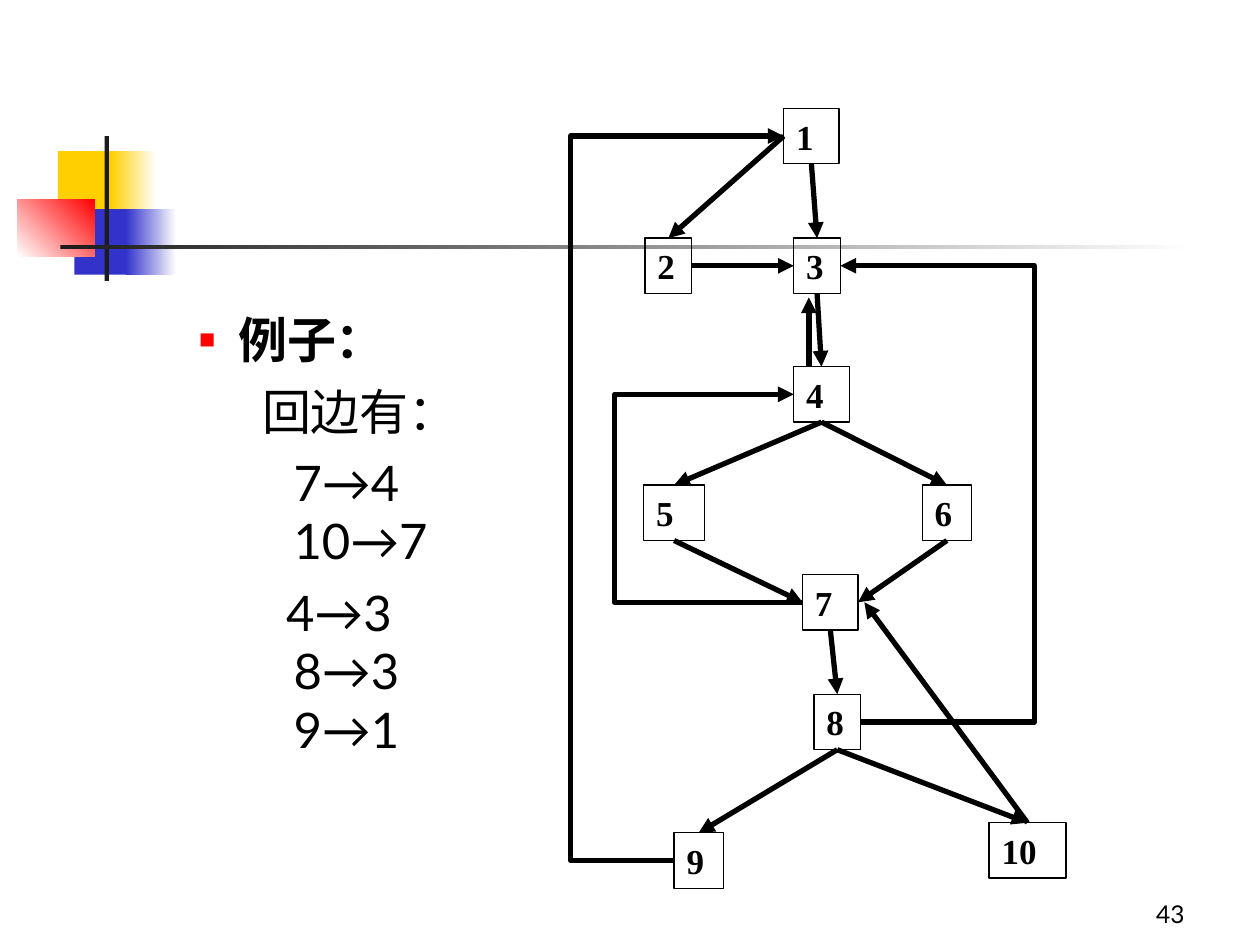
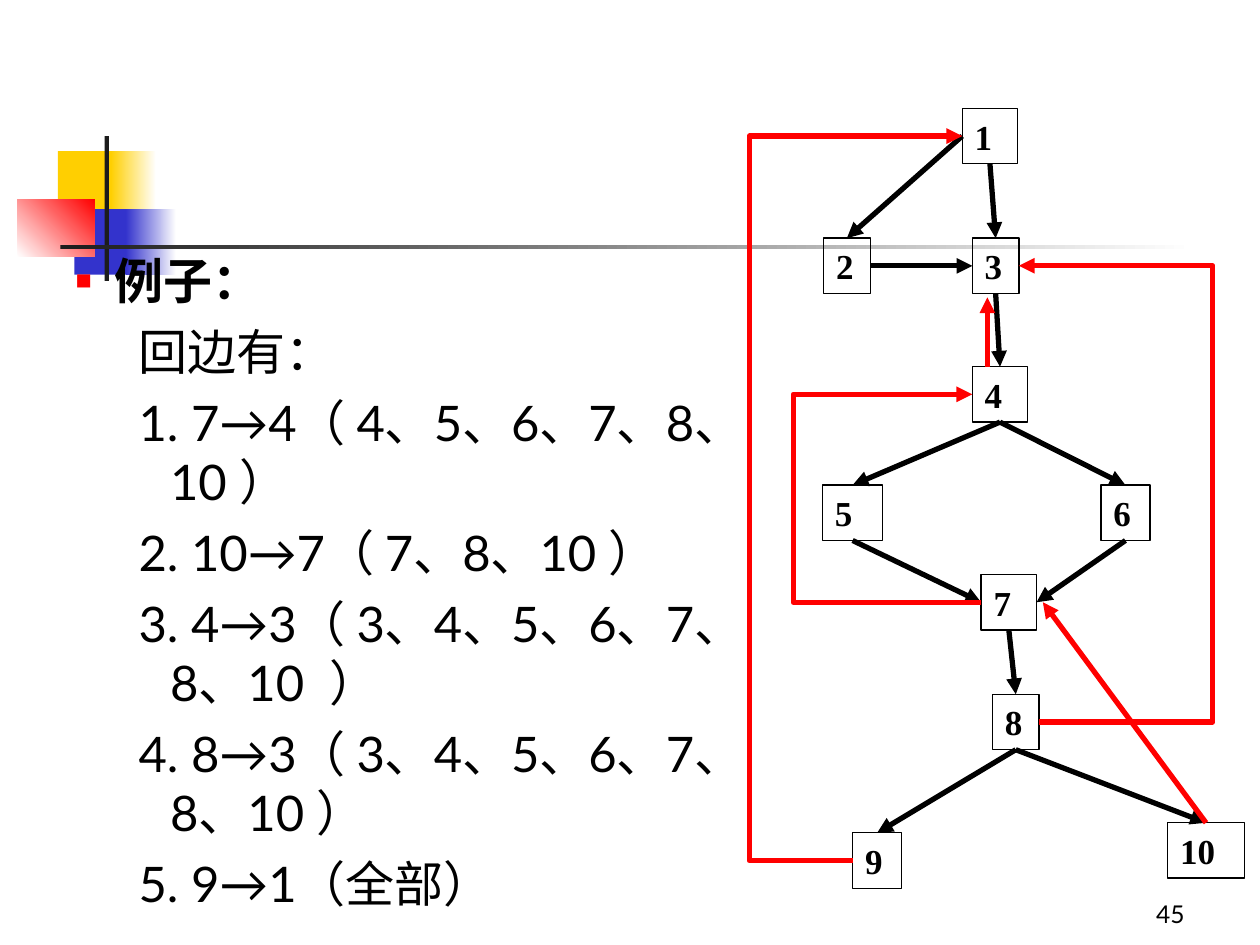
from lxml import etree
from pptx import Presentation
from pptx.dml.color import RGBColor
from pptx.enum.shapes import MSO_CONNECTOR, MSO_SHAPE
from pptx.enum.text import MSO_ANCHOR, MSO_AUTO_SIZE, PP_ALIGN
from pptx.oxml.ns import qn
from pptx.util import Inches, Pt

RECT = MSO_SHAPE.RECTANGLE
LINE, ELBOW = MSO_CONNECTOR.STRAIGHT, MSO_CONNECTOR.ELBOW
LEFT, RIGHT = PP_ALIGN.LEFT, PP_ALIGN.RIGHT
TOP, MIDDLE, BOTTOM = MSO_ANCHOR.TOP, MSO_ANCHOR.MIDDLE, MSO_ANCHOR.BOTTOM
FIXED = MSO_AUTO_SIZE.NONE

WIDE, HIGH = Inches(10), Inches(7.5)
COL, ROW = WIDE / 100, HIGH / 75  # grid of 100 columns by 75 rows

BLACK, WHITE, RED = "000000", "FFFFFF", "FF0000"
GOLD, BLUE, DARK = "FFCF01", "3333CC", "1C1C1C"
SANS, SERIF = "Lato", "Times New Roman"

# Left, top, width, height, first colour, last colour, angle
BANDS = [
    (4.6, 12, 4.8, 5.2, GOLD, None, 0),
    (8.8, 12, 3.6, 5.2, GOLD, WHITE, 0),
    (5.9, 16.6, 4.6, 5.2, BLUE, None, 0),
    (10, 16.6, 4, 5.2, BLUE, WHITE, 0),
    (1.4, 15.8, 6.1, 4.6, WHITE, RED, 45),
    (8.3, 10.8, 0.35, 11.5, DARK, None, 0),
    (4.8, 19.45, 90, 0.35, DARK, WHITE, 0),
]

# Left, top and width of each node, from the corner of the graph
TALL = 4.4
NODES = {
    1: (16.9, 0, 4.4),
    2: (5.9, 10.3, 3.7),
    3: (17.7, 10.3, 3.7),
    4: (17.7, 20.5, 4.4),
    5: (5.8, 29.9, 4.8),
    6: (27.9, 29.9, 3.9),
    7: (18.4, 37, 4.4),
    8: (19.3, 46.5, 3.7),
    9: (8.2, 57.5, 3.9),
    10: (33.2, 56.7, 6.1),
}
SIDES = {"top": 0, "left": 1, "bottom": 2, "right": 3}
EDGES = [
    (1, "left", 2, "top"),
    (1, "bottom", 3, "top"),
    (2, "right", 3, "left"),
    (3, "bottom", 4, "top"),
    (4, "bottom", 5, "top"),
    (4, "bottom", 6, "top"),
    (5, "bottom", 7, "left"),
    (6, "bottom", 7, "right"),
    (7, "bottom", 8, "top"),
    (8, "bottom", 9, "top"),
    (8, "bottom", 10, "top"),
]
# Loops leave and enter on one side, by way of a column
LOOPS = [(7, 4, "left", 3.5), (9, 1, "left", 0), (8, 3, "right", 36.8)]

HEAD = dict(left=0.81, indent=-0.31, bullet="■", bold=True)
ITEM = dict(left=1.25, indent=-0.25, level=1, before=7)


def color(code):
    return RGBColor.from_string(code)


def place(x, y, w, h):
    return [round(n) for n in (x * COL, y * ROW, w * COL, h * ROW)]


def write(frame, text, size=28, font=SANS, bold=False, align=LEFT, before=0,
          left=0, indent=0, level=0, bullet=None):
    """Add one paragraph, filling the empty first one if there is one."""
    para = frame.paragraphs[0]
    if para.text:
        para = frame.add_paragraph()
    para.text = text
    para.level, para.alignment = level, align
    props = para._p.get_or_add_pPr()
    props.set("marL", str(Inches(left)))
    props.set("indent", str(Inches(indent)))
    if bullet:
        tint = etree.SubElement(props, qn("a:buClr"))
        etree.SubElement(tint, qn("a:srgbClr"), val=RED)
        etree.SubElement(props, qn("a:buSzPct"), val="55000")
        etree.SubElement(props, qn("a:buChar"), char=bullet)
    else:
        etree.SubElement(props, qn("a:buNone"))
    para.space_before = Pt(before)
    para.font.size, para.font.name, para.font.bold = Pt(size), font, bold
    para.font.color.rgb = color(BLACK)


def paint(layout, slide):
    """Draw the bands on a slide, then move them to its layout."""
    for x, y, w, h, first, last, angle in BANDS:
        band = slide.shapes.add_shape(RECT, *place(x, y, w, h))
        band.shadow.inherit = False
        band.line.fill.background()
        if last:
            band.fill.gradient()
            band.fill.gradient_angle = angle
            for stop, code in zip(band.fill.gradient_stops, (first, last)):
                stop.color.rgb = color(code)
        else:
            band.fill.solid()
            band.fill.fore_color.rgb = color(first)
        layout.shapes.element.append(band.element)


def node(slide, name, x, y, w):
    box = slide.shapes.add_shape(RECT, *place(x, y, w, TALL))
    box.shadow.inherit = False
    box.fill.background()
    box.line.color.rgb, box.line.width = color(BLACK), Pt(0.75)
    box.text_frame.vertical_anchor = MIDDLE
    write(box.text_frame, str(name), size=20, font=SERIF, bold=True)
    return box


def arrow(slide, start, end, tint=BLACK, kind=LINE):
    link = slide.shapes.add_connector(kind, *map(round, (*start, *end)))
    link.line.color.rgb, link.line.width = color(tint), Pt(3)
    etree.SubElement(link.line._get_or_add_ln(), qn("a:tailEnd"), type="triangle")
    etree.SubElement(link.element.spPr, qn("a:effectLst"))
    return link


def port(box, side):
    x, y = box.left + box.width / 2, box.top + box.height / 2
    return {
        "top": (x, box.top),
        "bottom": (x, box.top + box.height),
        "left": (box.left, y),
        "right": (box.left + box.width, y),
    }[side]


def loop(slide, start, end, via, tint):
    link = arrow(slide, start, end, tint, ELBOW)
    share = (via - start[0]) / (end[0] - start[0])
    geom = link.element.spPr.find(qn("a:prstGeom"))
    guides = geom.find(qn("a:avLst"))
    if guides is None:
        guides = etree.SubElement(geom, qn("a:avLst"))
    etree.SubElement(guides, qn("a:gd"), name="adj1",
                     fmla=f"val {round(share * 100000)}")


def graph(slide, x, y, tint):
    """Draw the flow graph at a corner, its back edges in the given tint."""
    boxes = {name: node(slide, name, x + dx, y + dy, w)
             for name, (dx, dy, w) in NODES.items()}
    for tail, out, head, into in EDGES:
        link = arrow(slide, port(boxes[tail], out), port(boxes[head], into))
        link.begin_connect(boxes[tail], SIDES[out])
        link.end_connect(boxes[head], SIDES[into])
    rise = (x + 18.9) * COL
    arrow(slide, (rise, boxes[4].top), (rise, (y + 15) * ROW), tint)
    for tail, head, side, via in LOOPS:
        loop(slide, port(boxes[tail], side), port(boxes[head], side),
             (x + via) * COL, tint)
    tip_x, tip_y = port(boxes[7], "right")
    arrow(slide, port(boxes[10], "top"), (tip_x + COL / 2, tip_y), tint)


def body(slide, area, items):
    slide.shapes.title.element.getparent().remove(slide.shapes.title.element)
    box = slide.placeholders[1]
    box.left, box.top, box.width, box.height = place(*area)
    frame = box.text_frame
    frame.auto_size, frame.vertical_anchor = FIXED, TOP
    frame.word_wrap = True
    write(frame, "例子：", **HEAD)
    for text, extra in items:
        write(frame, text, **{**ITEM, **extra})


def footer(slide, number):
    frame = slide.shapes.add_textbox(*place(74.2, 69.2, 20.8, 5)).text_frame
    frame.word_wrap, frame.vertical_anchor = True, BOTTOM
    write(frame, str(number), size=14, align=RIGHT)


PAGES = [
    dict(number=43, area=(9.8, 24.1, 31.5, 37), left=45.3, tint=BLACK, items=[
        ("回边有：", {}),
        ("7→4\v10→7", dict(indent=0)),
        ("4→3\v8→3\v9→1", dict(indent=-0.06)),
    ]),
    dict(number=45, area=(0, 19.4, 61, 53.6), left=59.47, tint=RED, items=[
        ("回边有：", {}),
        ("1. 7→4（ 4、5、6、7、8、10 ）", {}),
        ("2. 10→7（ 7、8、10 ）", {}),
        ("3. 4→3（ 3、4、5、6、7、8、10  ）", {}),
        ("4. 8→3（ 3、4、5、6、7、8、10 ）", {}),
        ("5. 9→1（全部）", {}),
    ]),
]


def main():
    deck = Presentation()
    deck.slide_width, deck.slide_height = WIDE, HIGH
    layout = deck.slide_layouts[1]
    for page in PAGES:
        slide = deck.slides.add_slide(layout)
        if page is PAGES[0]:
            paint(layout, slide)
        body(slide, page["area"], page["items"])
        graph(slide, page["left"], 8.6, page["tint"])
        footer(slide, page["number"])
    deck.save("out.pptx")


if __name__ == "__main__":
    main()
